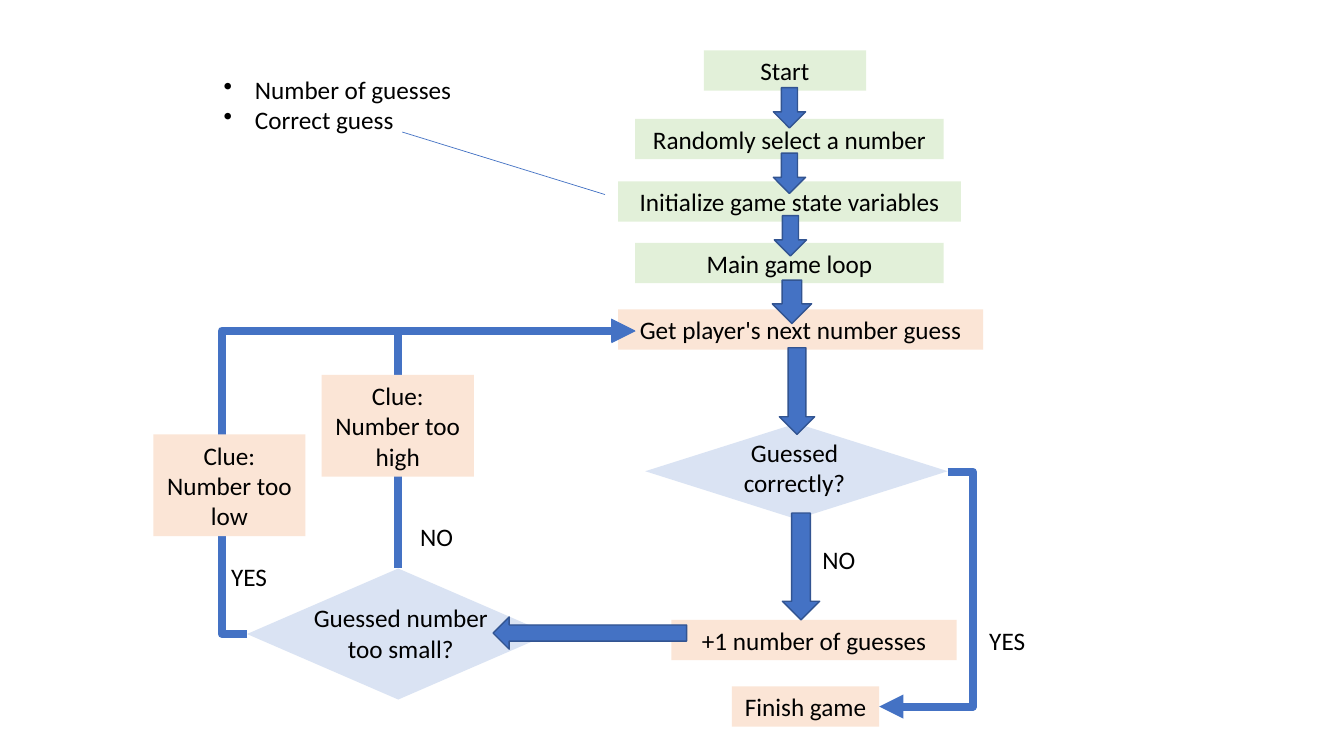
from dataclasses import dataclass
from typing import NamedTuple

from lxml import etree
from pptx import Presentation
from pptx.dml.color import RGBColor
from pptx.enum import shapes, text
from pptx.oxml import ns
from pptx.util import Inches, Pt

SHAPE = shapes.MSO_SHAPE
LINK = shapes.MSO_CONNECTOR
CENTER = text.PP_ALIGN.CENTER


@dataclass(frozen=True)
class Theme:
    """Colours, font and line weights of the flowchart."""
    setup: RGBColor = RGBColor(0xE2, 0xF0, 0xD9)
    action: RGBColor = RGBColor(0xFB, 0xE5, 0xD6)
    decision: RGBColor = RGBColor(0xDA, 0xE3, 0xF3)
    flow: RGBColor = RGBColor(0x44, 0x72, 0xC4)
    flow_edge: RGBColor = RGBColor(0x32, 0x54, 0x91)
    ink: RGBColor = RGBColor(0, 0, 0)
    font: str = "Calibri"
    size: Pt = Pt(18)
    edge: Pt = Pt(1)
    thin: Pt = Pt(0.5)
    thick: Pt = Pt(5.75)


THEME = Theme()


class Box(NamedTuple):
    """Position and size in inches."""
    left: float
    top: float
    width: float
    height: float = 0.4


class Step(NamedTuple):
    """A filled rectangle with its wording."""
    label: str
    box: Box
    fill: RGBColor


class Label(NamedTuple):
    """Free text on the chart."""
    label: str
    box: Box


class Route(NamedTuple):
    """An elbow that ends in an arrowhead; bend_x is where it runs upright."""
    start: tuple[float, float]
    end: tuple[float, float]
    bend_x: float


DECISIONS = [Box(2.45, 5.64, 3, 1.3), Box(6.4, 4.2, 3, 0.95)]

STEPS = [
    Step("Start", Box(6.98, 0.5, 1.61), THEME.setup),
    Step("Randomly select a number", Box(6.3, 1.18, 3.06), THEME.setup),
    Step("Initialize game state variables", Box(6.13, 1.8, 3.4), THEME.setup),
    Step("Main game loop", Box(6.3, 2.41, 3.06), THEME.setup),
    Step("Get player's next number guess", Box(6.13, 3.07, 3.62), THEME.action),
    Step("+1 number of guesses", Box(6.66, 6.15, 2.83), THEME.action),
    Step("Finish game", Box(7.26, 6.81, 1.46), THEME.action),
]

CLUES = [
    Step("Clue: Number too high", Box(3.19, 3.72, 1.51, 1.01), THEME.action),
    Step("Clue: Number too low", Box(1.52, 4.31, 1.51, 1.01), THEME.action),
]

QUESTIONS = [
    Label("Guessed\ncorrectly?", Box(7.27, 4.29, 1.22, 0.71)),
    Label("Guessed number too small?", Box(2.9, 5.93, 2.15, 0.71)),
]

ANSWERS = [
    Label("NO", Box(7.79, 5.35, 1.06)),
    Label("NO", Box(3.8, 5.12, 1.06)),
    Label("YES", Box(9.46, 6.15, 1.06)),
    Label("YES", Box(1.94, 5.52, 1.06)),
]

STATE_VARIABLES = Label("Number of guesses\nCorrect guess", Box(2.12, 0.69, 2.68, 0.71))

DOWN_ARROWS = [
    Box(7.67, 0.87, 0.32),
    Box(7.67, 1.52, 0.32),
    Box(7.68, 2.14, 0.32),
    Box(7.66, 2.78, 0.39, 0.43),
    Box(7.73, 3.45, 0.35, 0.86),
    Box(7.76, 5.09, 0.37, 1.06),
]
LEFT_ARROW = Box(5.69, 5.32, 0.32, 1.92)

NEXT_GUESS = (6.3, 3.28)
TOO_HIGH = Route((3.95, 5.64), NEXT_GUESS, 3.95)
FINISH = Route((9.4, 4.68), (8.72, 7.01), 9.65)
TOO_LOW = Route((2.45, 6.29), NEXT_GUESS, 2.2)


def write(sp, label: str, align=CENTER) -> None:
    """Put wrapped text into a shape, one paragraph a line."""
    tf = sp.text_frame
    tf.word_wrap = True
    tf.text = label
    for p in tf.paragraphs:
        p.alignment = align
        p.font.name = THEME.font
        p.font.size = THEME.size
        p.font.color.rgb = THEME.ink


def add_shape(s, kind, box: Box, fill: RGBColor):
    """Add a flat preset shape without an outline."""
    sp = s.shapes.add_shape(kind, *map(Inches, box))
    sp.shadow.inherit = False
    sp.fill.solid()
    sp.fill.fore_color.rgb = fill
    sp.line.fill.background()
    return sp


def add_step(s, step: Step) -> None:
    """Add a labelled rectangle."""
    write(add_shape(s, SHAPE.RECTANGLE, step.box, step.fill), step.label)


def add_label(s, item: Label, align=CENTER):
    """Add a text box."""
    sp = s.shapes.add_textbox(*map(Inches, item.box))
    write(sp, item.label, align)
    return sp


def add_bullets(s, item: Label) -> None:
    """Add a text box whose paragraphs are bulleted."""
    indent = Inches(0.31)
    for p in add_label(s, item, text.PP_ALIGN.LEFT).text_frame.paragraphs:
        props = p._p.get_or_add_pPr()
        props.set("marL", str(indent))
        props.set("indent", str(-indent))
        bullet = etree.Element(ns.qn("a:buChar"), char="\u2022")
        props.find(ns.qn("a:defRPr")).addprevious(bullet)


def add_block_arrow(s, box: Box, rotation: float = 0) -> None:
    """Add an outlined block arrow that points down before rotation."""
    sp = add_shape(s, SHAPE.DOWN_ARROW, box, THEME.flow)
    sp.line.color.rgb = THEME.flow_edge
    sp.line.width = THEME.edge
    sp.rotation = rotation


def add_line(s, kind, start, end, width):
    """Add a flow-coloured connector without a shadow."""
    line = s.shapes.add_connector(kind, *map(Inches, (*start, *end)))
    line.line.color.rgb = THEME.flow
    line.line.width = width
    etree.SubElement(line._element.spPr, ns.qn("a:effectLst"))
    return line


def add_route(s, route: Route) -> None:
    """Add a thick elbow arrow, with one corner if it leaves upright."""
    (x1, y1), (x2, y2) = route.start, route.end
    one_corner = route.bend_x == x1
    start, end = ((x2, y1), (x1, y2)) if one_corner else (route.start, route.end)
    line = add_line(s, LINK.ELBOW, start, end, THEME.thick)
    props = line._element.spPr
    geometry = props.find(ns.qn("a:prstGeom"))
    if one_corner:
        geometry.set("prst", "bentConnector2")
        props.find(ns.qn("a:xfrm")).set("rot", str(90 * 60000))
    else:
        bend = round((route.bend_x - x1) / (x2 - x1) * 100000)
        guides = geometry.find(ns.qn("a:avLst"))
        etree.SubElement(guides, ns.qn("a:gd"), name="adj1", fmla=f"val {bend}")
    etree.SubElement(line.line._get_or_add_ln(), ns.qn("a:tailEnd"), type="triangle")


def build() -> None:
    """Draw the guessing-game flowchart and save it."""
    prs = Presentation()
    prs.slide_width, prs.slide_height = Inches(13.33), Inches(7.5)
    s = prs.slides.add_slide(prs.slide_layouts[6])
    for box in DECISIONS:
        add_shape(s, SHAPE.DIAMOND, box, THEME.decision)
    for step in STEPS:
        add_step(s, step)
    for question in QUESTIONS:
        add_label(s, question)
    for box in DOWN_ARROWS:
        add_block_arrow(s, box)
    add_block_arrow(s, LEFT_ARROW, 90)
    for route in (TOO_HIGH, FINISH, TOO_LOW):
        add_route(s, route)
    for answer in ANSWERS:
        add_label(s, answer)
    add_line(s, LINK.STRAIGHT, (6, 1.93), (3.99, 1.31), THEME.thin)
    add_bullets(s, STATE_VARIABLES)
    for clue in CLUES:
        add_step(s, clue)
    prs.save("out.pptx")


build()
